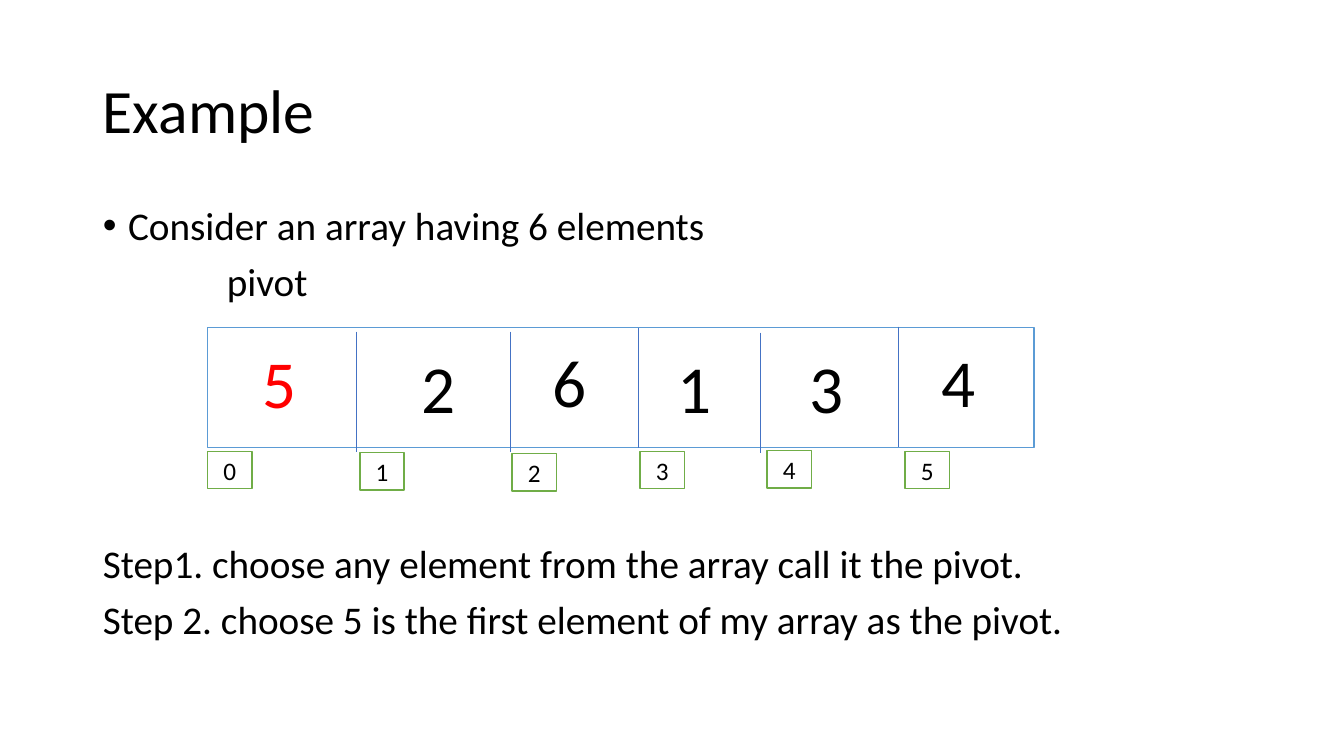
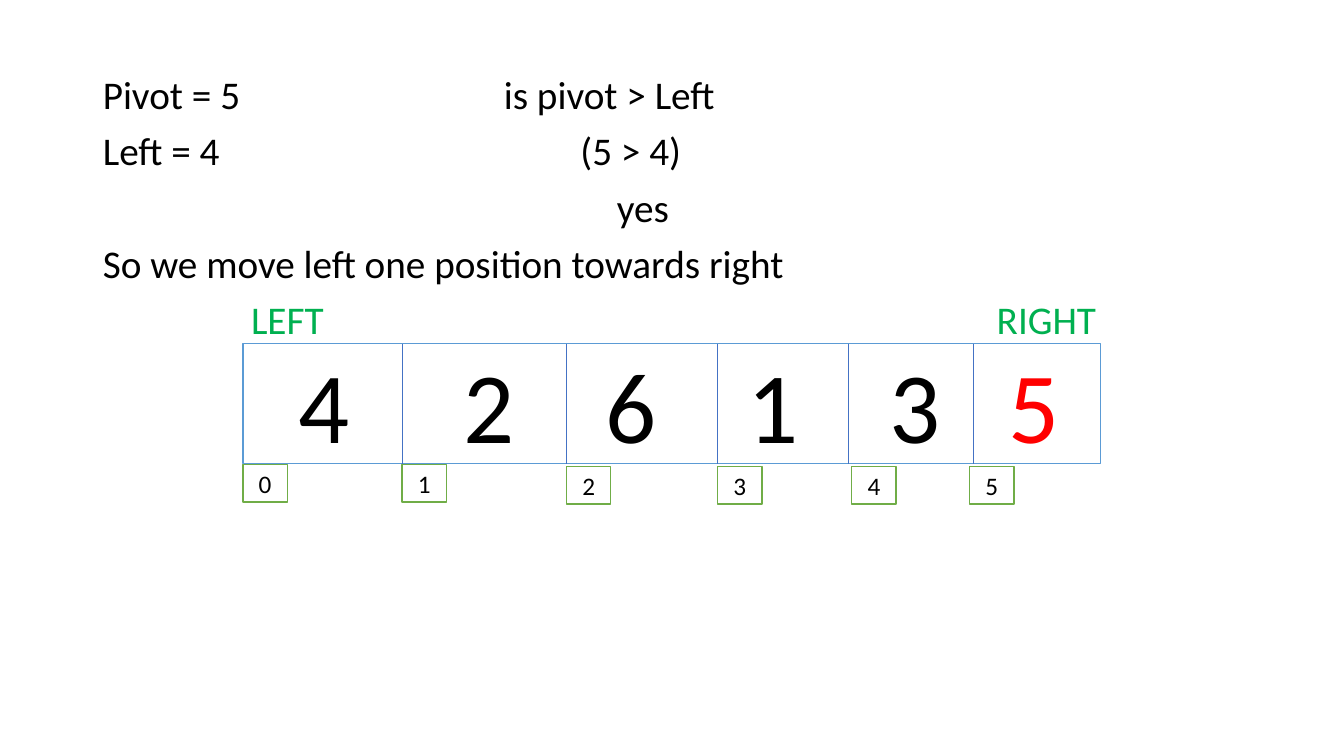
from collections import namedtuple

from lxml import etree
from pptx import Presentation
from pptx.dml.color import RGBColor
from pptx.enum.shapes import MSO_CONNECTOR, MSO_SHAPE
from pptx.enum.text import MSO_ANCHOR, MSO_AUTO_SIZE, PP_ALIGN
from pptx.oxml.ns import qn
from pptx.util import Inches, Pt

RECTANGLE = MSO_SHAPE.RECTANGLE
STRAIGHT = MSO_CONNECTOR.STRAIGHT
MIDDLE, TOP = MSO_ANCHOR.MIDDLE, MSO_ANCHOR.TOP
LEFT, CENTER = PP_ALIGN.LEFT, PP_ALIGN.CENTER
NO_AUTOFIT = MSO_AUTO_SIZE.NONE

FONT = "Calibri"
COLORS = {
    "text": "000000",
    "paper": "FFFFFF",
    "pivot": "FF0000",
    "marker": "00B050",
    "array": "5B9BD5",
    "divider": "4472C4",
    "index": "70AD47",
}
GRID_STEP = 0.1
POINTS_PER_STEP = 72 * GRID_STEP
MARGIN, CONTENT_WIDTH = 9.2, 115
BODY_SIZE, PARAGRAPH_GAP, LINE_SPACING = 28, 10, 0.9
LINE_PITCH = BODY_SIZE * 1.2 * LINE_SPACING + PARAGRAPH_GAP
BULLET_INDENT = 2.5

Line = namedtuple("Line", "text indent bullet color skipped",
                  defaults=(0, False, "text", 0))
Cell = namedtuple("Cell", "value center middle index_left index_top divider",
                  defaults=(None,))


def grid(steps):
    return Inches(steps * GRID_STEP)


def color(name):
    return RGBColor.from_string(COLORS[name])


class Deck:
    def __init__(self):
        self.presentation = Presentation()
        self.presentation.slide_width = grid(133.33)
        self.presentation.slide_height = grid(75)
        self.slide = None

    def add_slide(self):
        layout = self.presentation.slide_layouts[1]
        self.slide = self.presentation.slides.add_slide(layout)

    def place(self, shape, left, top, width, height):
        shape.left, shape.top = grid(left), grid(top)
        shape.width, shape.height = grid(width), grid(height)

    def add_run(self, paragraph, text, size, color_name="text"):
        run = paragraph.add_run()
        run.text = text
        run.font.name = FONT
        run.font.size = Pt(size)
        run.font.color.rgb = color(color_name)

    def title(self, text=None):
        shape = self.slide.shapes.title
        if text is None:
            shape.element.getparent().remove(shape.element)
            return
        self.place(shape, MARGIN, 4, CONTENT_WIDTH, 14.5)
        frame = shape.text_frame
        frame.auto_size = NO_AUTOFIT
        frame.vertical_anchor = MIDDLE
        paragraph = frame.paragraphs[0]
        paragraph.alignment = LEFT
        paragraph.line_spacing = LINE_SPACING
        self.add_run(paragraph, text, 44)

    def format_list(self, paragraph, line):
        properties = paragraph._p.get_or_add_pPr()
        hanging = BULLET_INDENT if line.bullet else 0
        properties.set("marL", str(grid(line.indent + hanging)))
        properties.set("indent", str(-grid(hanging)))
        if line.bullet:
            etree.SubElement(properties, qn("a:buFont"), typeface="Arial")
            etree.SubElement(properties, qn("a:buChar"), char="•")
        else:
            etree.SubElement(properties, qn("a:buNone"))

    def fill_lines(self, shape, lines):
        frame = shape.text_frame
        frame.word_wrap = True
        frame.auto_size = NO_AUTOFIT
        frame.vertical_anchor = TOP
        for number, line in enumerate(lines):
            paragraph = frame.add_paragraph() if number else frame.paragraphs[0]
            self.format_list(paragraph, line)
            paragraph.line_spacing = LINE_SPACING
            gap = PARAGRAPH_GAP + line.skipped * LINE_PITCH if number else 0
            paragraph.space_before = Pt(gap)
            self.add_run(paragraph, line.text, BODY_SIZE, line.color)

    def body(self, top, height, lines):
        shape = self.slide.placeholders[1]
        self.place(shape, MARGIN, top, CONTENT_WIDTH, height)
        self.fill_lines(shape, lines)

    def side_text(self, body_top, row, offset, line):
        top = body_top + row * LINE_PITCH / POINTS_PER_STEP
        shape = self.slide.shapes.add_textbox(
            grid(MARGIN + offset), grid(top), grid(25), grid(5.5))
        self.fill_lines(shape, [line])

    def box(self, left, top, width, height, line_color):
        shape = self.slide.shapes.add_shape(
            RECTANGLE, grid(left), grid(top), grid(width), grid(height))
        shape.shadow.inherit = False
        shape.fill.solid()
        shape.fill.fore_color.rgb = color("paper")
        shape.line.color.rgb = color(line_color)
        shape.line.width = Pt(1)
        return shape

    def center_text(self, shape, text, size, color_name="text"):
        frame = shape.text_frame
        frame.word_wrap = True
        frame.vertical_anchor = MIDDLE
        frame.margin_left = frame.margin_right = 0
        frame.margin_top = frame.margin_bottom = 0
        paragraph = frame.paragraphs[0]
        paragraph.alignment = CENTER
        self.add_run(paragraph, text, size, color_name)

    def digit(self, cell, size, pivot):
        width, height = 7, 12
        shape = self.slide.shapes.add_textbox(
            grid(cell.center - width / 2), grid(cell.middle - height / 2),
            grid(width), grid(height))
        self.center_text(shape, cell.value, size,
                         "pivot" if cell.value == pivot else "text")

    def index(self, cell, number):
        shape = self.box(cell.index_left, cell.index_top, 4.4, 3.7, "index")
        self.center_text(shape, str(number), 18)

    def divider(self, left, top, height):
        connector = self.slide.shapes.add_connector(
            STRAIGHT, grid(left), grid(top), grid(left), grid(top + height))
        connector.line.color.rgb = color("divider")
        connector.line.width = Pt(0.5)
        etree.SubElement(connector._element.spPr, qn("a:effectLst"))

    def array(self, left, top, width, cells, size, pivot):
        height = 11.9
        self.box(left, top, width, height, "array")
        for number, cell in enumerate(cells):
            if cell.divider:
                self.divider(*cell.divider, height)
            self.digit(cell, size, pivot)
            self.index(cell, number)


def example_slide(deck):
    deck.add_slide()
    deck.title("Example")
    deck.body(20, 47.6, [
        Line("Consider an array having 6 elements", bullet=True),
        Line("pivot", indent=12.3),
        Line("Step1. choose any element from the array call it the pivot.",
             skipped=4),
        Line("Step 2. choose 5 is the first element of my array as the pivot."),
    ])
    deck.array(20.6, 32.5, 82, [
        Cell("5", 27.7, 37.9, 20.6, 44.8),
        Cell("2", 43.5, 38.4, 35.7, 44.9, (35.4, 32.9)),
        Cell("6", 56.5, 37.8, 50.8, 45, (50.6, 32.9)),
        Cell("1", 68.9, 38.4, 63.5, 44.8, (63.3, 32.5)),
        Cell("3", 82, 38.4, 76.1, 44.7, (75.4, 33)),
        Cell("4", 95.1, 37.8, 89.8, 44.8, (89.1, 32.4)),
    ], 48, "5")


def comparison_slide(deck):
    deck.add_slide()
    deck.title()
    body_top = 7
    deck.body(body_top, 60.5, [
        Line("Pivot = 5"),
        Line("Left = 4"),
        Line("yes", indent=51),
        Line("So we move left one position towards right"),
        Line("LEFT", indent=14.7, color="marker"),
    ])
    deck.side_text(body_top, 0, 39.8, Line("is pivot > Left"))
    deck.side_text(body_top, 1, 47.4, Line("(5 > 4)"))
    deck.side_text(body_top, 4, 88.7, Line("RIGHT", color="marker"))
    row_top = 34.1
    middle = row_top + 5.95
    deck.array(24.1, row_top, 85.1, [
        Cell("4", 32.1, middle, 24.1, 46.1),
        Cell("2", 48.5, middle, 39.9, 46.1, (39.9, row_top)),
        Cell("6", 62.6, middle, 56.2, 46.3, (56.2, row_top)),
        Cell("1", 76.7, middle, 71.2, 46.3, (71.2, row_top)),
        Cell("3", 90.8, middle, 84.5, 46.3, (84.2, row_top)),
        Cell("5", 102.6, middle, 96.2, 46.3, (96.6, row_top)),
    ], 72, "5")


def main():
    deck = Deck()
    example_slide(deck)
    comparison_slide(deck)
    deck.presentation.save("out.pptx")


if __name__ == "__main__":
    main()
